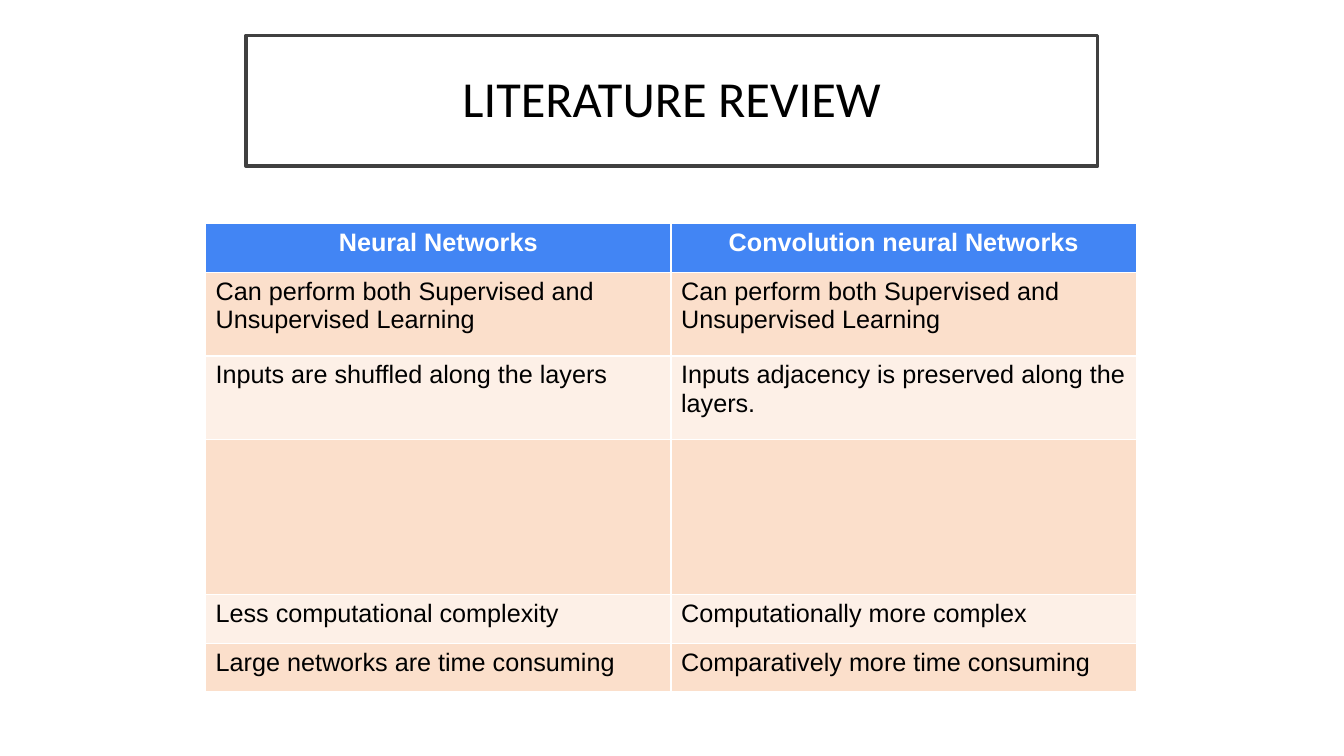
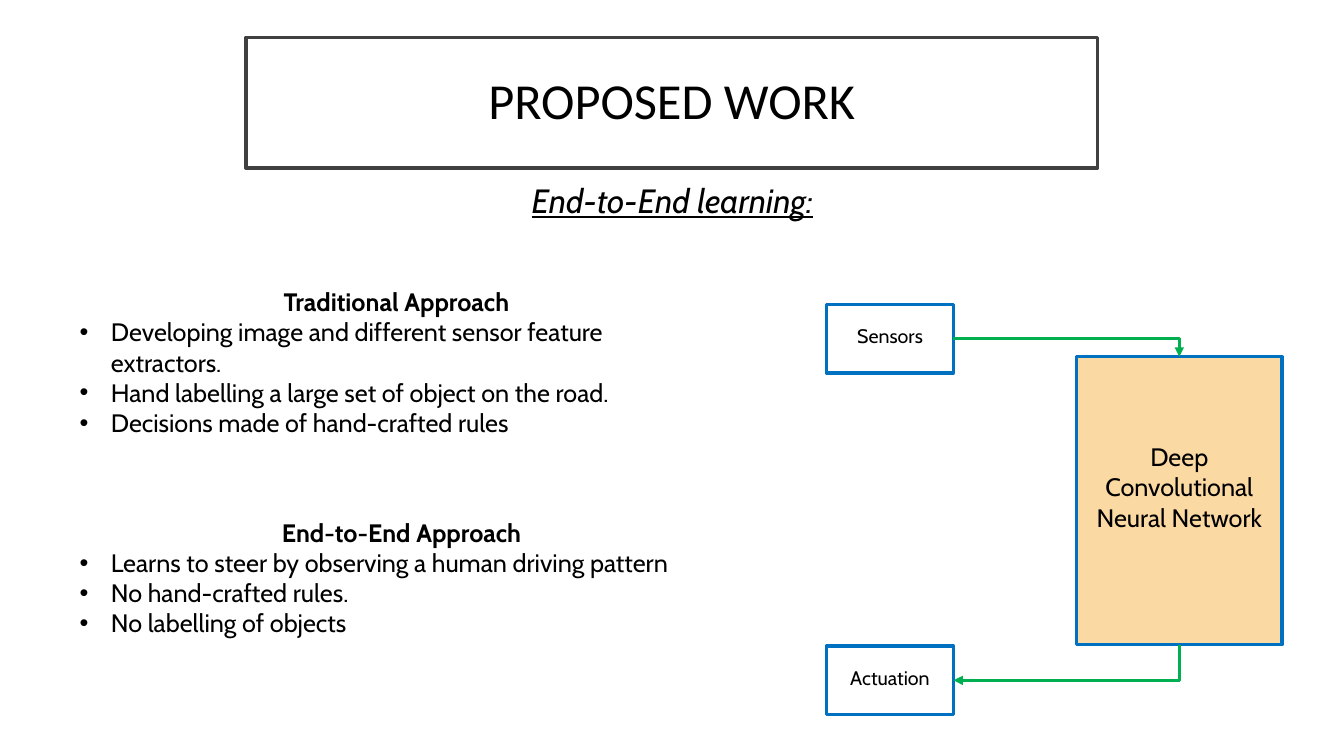
from dataclasses import dataclass

from lxml.etree import SubElement
from pptx import Presentation
from pptx.dml.color import RGBColor
from pptx.enum.shapes import MSO_CONNECTOR as Connector, MSO_SHAPE as Preset
from pptx.enum.text import MSO_ANCHOR as Anchor, MSO_AUTO_SIZE as AutoSize, PP_ALIGN as Align
from pptx.oxml.ns import qn
from pptx.util import Cm, Pt

BLACK = RGBColor(0x00, 0x00, 0x00)
WHITE = RGBColor(0xFF, 0xFF, 0xFF)
TITLE_BORDER = RGBColor(0x40, 0x40, 0x40)
HEADER_BLUE = RGBColor(0x42, 0x85, 0xF4)
BAND_DARK = RGBColor(0xFB, 0xDF, 0xCB)
BAND_LIGHT = RGBColor(0xFD, 0xF0, 0xE7)
BOX_BLUE = RGBColor(0x00, 0x70, 0xC0)
NETWORK_FILL = RGBColor(0xFB, 0xD9, 0xA3)
ARROW_GREEN = RGBColor(0x00, 0xB0, 0x50)

TABLE_FONT, TITLE_FONT, BODY_FONT = "Arial", "Calibri", "Cabin"
COLUMN_WIDTH = 11.73
ROW_HEIGHTS = (1.22, 2.11, 2.11, 3.91, 1.22, 1.22)
COMPARISON = (
    ("Neural Networks", "Convolution neural Networks"),
    ("Can perform both Supervised and Unsupervised Learning",) * 2,
    ("Inputs are shuffled along the layers", "Inputs adjacency is preserved along the layers."),
    ("", ""),
    ("Less computational complexity", "Computationally more complex"),
    ("Large networks are time consuming", "Comparatively more time consuming"),
)


@dataclass(frozen=True)
class Area:
    """A rectangle on the page, in centimetres."""
    left: float
    top: float
    width: float
    height: float

    def lengths(self):
        """Return the four values as lengths."""
        return Cm(self.left), Cm(self.top), Cm(self.width), Cm(self.height)


@dataclass(frozen=True)
class Approach:
    """A heading with its bulleted points."""
    area: Area
    heading: str
    points: tuple[str, ...]


@dataclass(frozen=True)
class Stage:
    """A labelled box of the diagram."""
    area: Area
    label: str
    size: float = 14
    fill: RGBColor | None = None
    lift: float = 0.15


APPROACHES = (
    Approach(Area(1.75, 7.09, 16.48, 4.88), "Traditional Approach", (
        "Developing image and different sensor feature extractors.",
        "Hand labelling a large set of object on the road.",
        "Decisions made of hand-crafted rules",
    )),
    Approach(Area(1.75, 12.9, 16.74, 4.09), "End-to-End Approach", (
        "Learns to steer by observing a human driving pattern",
        "No hand-crafted rules.",
        "No labelling of objects",
    )),
)
SENSORS = Stage(Area(20.83, 7.67, 3.2, 1.73), "Sensors")
ACTUATION = Stage(Area(20.83, 16.28, 3.2, 1.73), "Actuation")
NETWORK = Stage(Area(27.13, 8.99, 5.18, 7.26), "Deep Convolutional Neural Network",
                size=18, fill=NETWORK_FILL, lift=0.7)


def write_text(para, text: str, *, font: str = BODY_FONT, size: float = 18,
               color: RGBColor = BLACK, bold: bool = False, italic: bool = False,
               underline: bool = False, align: Align = Align.LEFT) -> None:
    """Add formatted text to a paragraph."""
    para.alignment = align
    para.space_before = Pt(0)
    span = para.add_run()
    span.text = text
    style = span.font
    style.name, style.size, style.color.rgb = font, Pt(size), color
    style.bold, style.italic, style.underline = bold, italic, underline


def place(shape, area: Area) -> None:
    """Move a placeholder and stop its text from shrinking."""
    shape.left, shape.top, shape.width, shape.height = area.lengths()
    shape.text_frame.auto_size = AutoSize.NONE
    shape.text_frame.word_wrap = True


def set_bullet(para, symbol: str | None) -> None:
    """Give a paragraph a hanging bullet, or none."""
    properties = para._p.get_or_add_pPr()
    indent = Cm(0.79) if symbol else 0
    properties.set("marL", str(indent))
    properties.set("indent", str(-indent))
    if symbol:
        SubElement(properties, qn("a:buFont"), typeface="Arial")
        SubElement(properties, qn("a:buChar"), char=symbol)
    else:
        SubElement(properties, qn("a:buNone"))


def add_title(page, text: str, top: float) -> None:
    """Format the title placeholder as a framed heading."""
    box = page.shapes.title
    place(box, Area(6.2, top, 21.46, 3.3))
    box.fill.solid()
    box.fill.fore_color.rgb = WHITE
    box.line.color.rgb = TITLE_BORDER
    box.line.width = Pt(2.5)
    box.text_frame.vertical_anchor = Anchor.MIDDLE
    para = box.text_frame.paragraphs[0]
    para.line_spacing = 0.9
    write_text(para, text, font=TITLE_FONT, size=36, align=Align.CENTER)


def add_comparison(page) -> None:
    """Draw the banded comparison table."""
    columns = len(COMPARISON[0])
    area = Area(5.18, 5.64, COLUMN_WIDTH * columns, sum(ROW_HEIGHTS))
    table = page.shapes.add_table(len(COMPARISON), columns, *area.lengths()).table
    for column in table.columns:
        column.width = Cm(COLUMN_WIDTH)
    for index, (texts, height) in enumerate(zip(COMPARISON, ROW_HEIGHTS)):
        header = index == 0
        band = BAND_DARK if index % 2 else BAND_LIGHT
        table.rows[index].height = Cm(height)
        for cell, text in zip(table.rows[index].cells, texts):
            cell.fill.solid()
            cell.fill.fore_color.rgb = HEADER_BLUE if header else band
            if text:
                write_text(cell.text_frame.paragraphs[0], text, font=TABLE_FONT, bold=header,
                           color=WHITE if header else BLACK,
                           align=Align.CENTER if header else Align.LEFT)


def add_approach(box, approach: Approach) -> None:
    """Fill a body placeholder with a heading and its points."""
    place(box, approach.area)
    frame = box.text_frame
    frame.vertical_anchor = Anchor.TOP
    heading = frame.paragraphs[0]
    set_bullet(heading, None)
    write_text(heading, approach.heading, bold=True, align=Align.CENTER)
    for point in approach.points:
        para = frame.add_paragraph()
        set_bullet(para, "•")
        write_text(para, point)


def add_stage(page, stage: Stage):
    """Draw a labelled box of the diagram."""
    box = page.shapes.add_shape(Preset.RECTANGLE, *stage.area.lengths())
    box.shadow.inherit = False
    if stage.fill is None:
        box.fill.background()
    else:
        box.fill.solid()
        box.fill.fore_color.rgb = stage.fill
    box.line.color.rgb = BOX_BLUE
    box.line.width = Pt(2.25)
    frame = box.text_frame
    frame.word_wrap = True
    frame.vertical_anchor = Anchor.MIDDLE
    frame.margin_left = frame.margin_right = Cm(0.4)
    frame.margin_top, frame.margin_bottom = Cm(0), Cm(stage.lift)
    write_text(frame.paragraphs[0], stage.label, size=stage.size, align=Align.CENTER)
    return box


def add_link(page, box, network, site: int, arrow_end: str) -> None:
    """Join a box's right side to a network side with a one-bend arrow."""
    link = page.shapes.add_connector(Connector.ELBOW, 0, 0, 0, 0)
    link.begin_connect(box, 3)
    link.end_connect(network, site)
    link.line.color.rgb = ARROW_GREEN
    link.line.width = Pt(2.25)
    properties = link._element.spPr
    properties.find(qn("a:prstGeom")).set("prst", "bentConnector2")
    SubElement(properties.find(qn("a:ln")), qn(arrow_end), type="triangle")
    SubElement(properties, qn("a:effectLst"))


def build_review(deck) -> None:
    """Build the literature review page."""
    page = deck.slides.add_slide(deck.slide_layouts[5])
    add_title(page, "LITERATURE REVIEW", 0.89)
    add_comparison(page)


def build_proposal(deck) -> None:
    """Build the proposed work page."""
    page = deck.slides.add_slide(deck.slide_layouts[3])
    add_title(page, "PROPOSED WORK", 0.94)
    subtitle = page.shapes.add_textbox(*Area(7.37, 4.42, 19.15, 1.27).lengths())
    subtitle.text_frame.word_wrap = True
    write_text(subtitle.text_frame.paragraphs[0], "End-to-End learning:", size=24,
               italic=True, underline=True, align=Align.CENTER)
    for index, approach in enumerate(APPROACHES, start=1):
        add_approach(page.placeholders[index], approach)
    sensors, network, actuation = (
        add_stage(page, stage) for stage in (SENSORS, NETWORK, ACTUATION))
    add_link(page, sensors, network, 0, "a:tailEnd")
    add_link(page, actuation, network, 2, "a:headEnd")


def main() -> None:
    """Build and save the deck."""
    deck = Presentation()
    deck.slide_width, deck.slide_height = Cm(33.87), Cm(19.05)
    build_review(deck)
    build_proposal(deck)
    deck.save("out.pptx")


if __name__ == "__main__":
    main()
